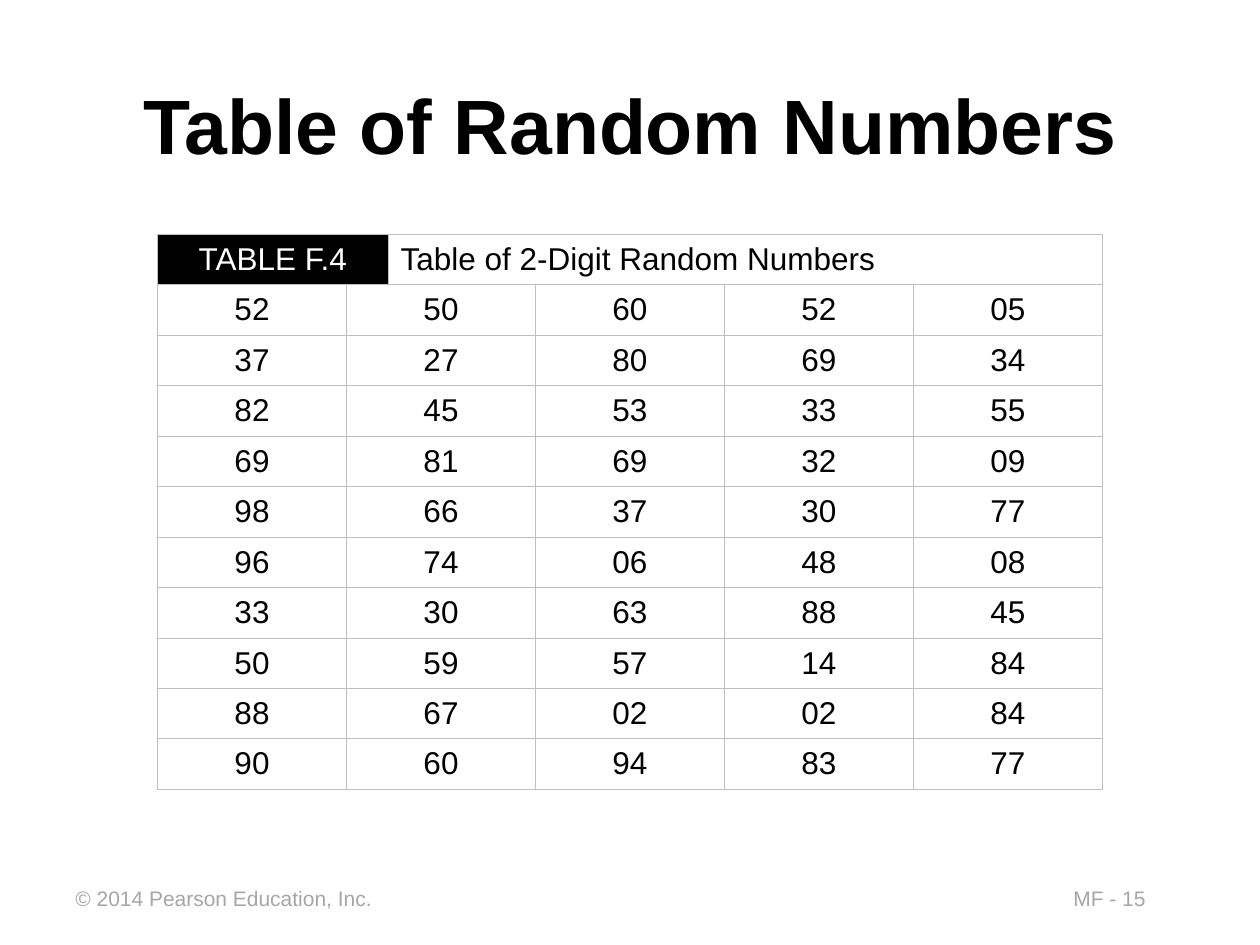
from lxml.etree import SubElement
from pptx import Presentation
from pptx.dml.color import RGBColor
from pptx.enum.text import MSO_ANCHOR, PP_ALIGN
from pptx.oxml.ns import qn
from pptx.util import Inches, Pt

FONT = "Arial"
COLORS = {"text": "000000", "label": "FFFFFF", "border": "BFBFBF", "footer": "A6A6A6"}
COL_WIDTHS = [1.5, 0.33, 1.17, 1.5, 1.5, 1.5]
ROW_HEIGHT = 0.4
NUMBERS = [
    "52 50 60 52 05",
    "37 27 80 69 34",
    "82 45 53 33 55",
    "69 81 69 32 09",
    "98 66 37 30 77",
    "96 74 06 48 08",
    "33 30 63 88 45",
    "50 59 57 14 84",
    "88 67 02 02 84",
    "90 60 94 83 77",
]


def set_text(tf, text, size, color, align=PP_ALIGN.LEFT, bold=False):
    tf.text = text
    p = tf.paragraphs[0]
    p.alignment = align
    font = p.runs[0].font
    font.name, font.size, font.bold = FONT, Pt(size), bold
    font.color.rgb = RGBColor.from_string(COLORS[color])


def add_title(s, text):
    title = s.shapes.title
    title.left, title.top = Inches(0.58), Inches(0.46)
    title.width, title.height = Inches(8.85), Inches(1.04)
    title.text_frame.vertical_anchor = MSO_ANCHOR.MIDDLE
    set_text(title.text_frame, text, 44, "text", PP_ALIGN.CENTER, bold=True)


def add_footer(s, text, left, width):
    sp = s.shapes.add_textbox(Inches(left), Inches(6.98), Inches(width), Inches(0.3))
    sp.text_frame.word_wrap = True
    set_text(sp.text_frame, text, 12, "footer")


def set_borders(cell):
    tc_pr = cell._tc.get_or_add_tcPr()
    for side in ("lnL", "lnR", "lnT", "lnB"):
        ln = SubElement(tc_pr, qn(f"a:{side}"), w=str(Pt(0.45)))
        fill = SubElement(ln, qn("a:solidFill"))
        SubElement(fill, qn("a:srgbClr"), val=COLORS["border"])


def fill_cell(cell, text, color="text", align=PP_ALIGN.CENTER):
    cell.vertical_anchor = MSO_ANCHOR.MIDDLE
    set_text(cell.text_frame, text, 18, color, align)


def add_number_table(s):
    rows = len(NUMBERS) + 1
    frame = s.shapes.add_table(rows, len(COL_WIDTHS), Inches(1.25), Inches(1.86),
                               Inches(sum(COL_WIDTHS)), Inches(rows * ROW_HEIGHT))
    table = frame.table
    table.first_row = table.horz_banding = False
    for col, width in zip(table.columns, COL_WIDTHS):
        col.width = Inches(width)
    for row in table.rows:
        row.height = Inches(ROW_HEIGHT)
    for cell in table.iter_cells():
        set_borders(cell)
        cell.margin_left = cell.margin_right = Inches(0.1)
        cell.margin_top = cell.margin_bottom = Inches(0.05)
        cell.fill.background()

    # Heading row: dark label, then caption
    label, caption = table.cell(0, 0), table.cell(0, 2)
    label.merge(table.cell(0, 1))
    caption.merge(table.cell(0, 5))
    label.fill.solid()
    label.fill.fore_color.rgb = RGBColor.from_string(COLORS["text"])
    fill_cell(label, "TABLE F.4", "label")
    fill_cell(caption, "Table of 2-Digit Random Numbers", align=PP_ALIGN.LEFT)

    # Number rows: the second number spans two grid columns
    for r, line in enumerate(NUMBERS, start=1):
        table.cell(r, 1).merge(table.cell(r, 2))
        for c, number in zip((0, 1, 3, 4, 5), line.split()):
            fill_cell(table.cell(r, c), number)


def main():
    prs = Presentation()
    prs.slide_width, prs.slide_height = Inches(10), Inches(7.5)
    s = prs.slides.add_slide(prs.slide_layouts[5])
    add_footer(s, "MF - 15", 8.42, 1.35)
    add_footer(s, "© 2014 Pearson Education, Inc.", 0.5, 2.6)
    add_title(s, "Table of Random Numbers")
    add_number_table(s)
    prs.save("out.pptx")


if __name__ == "__main__":
    main()
